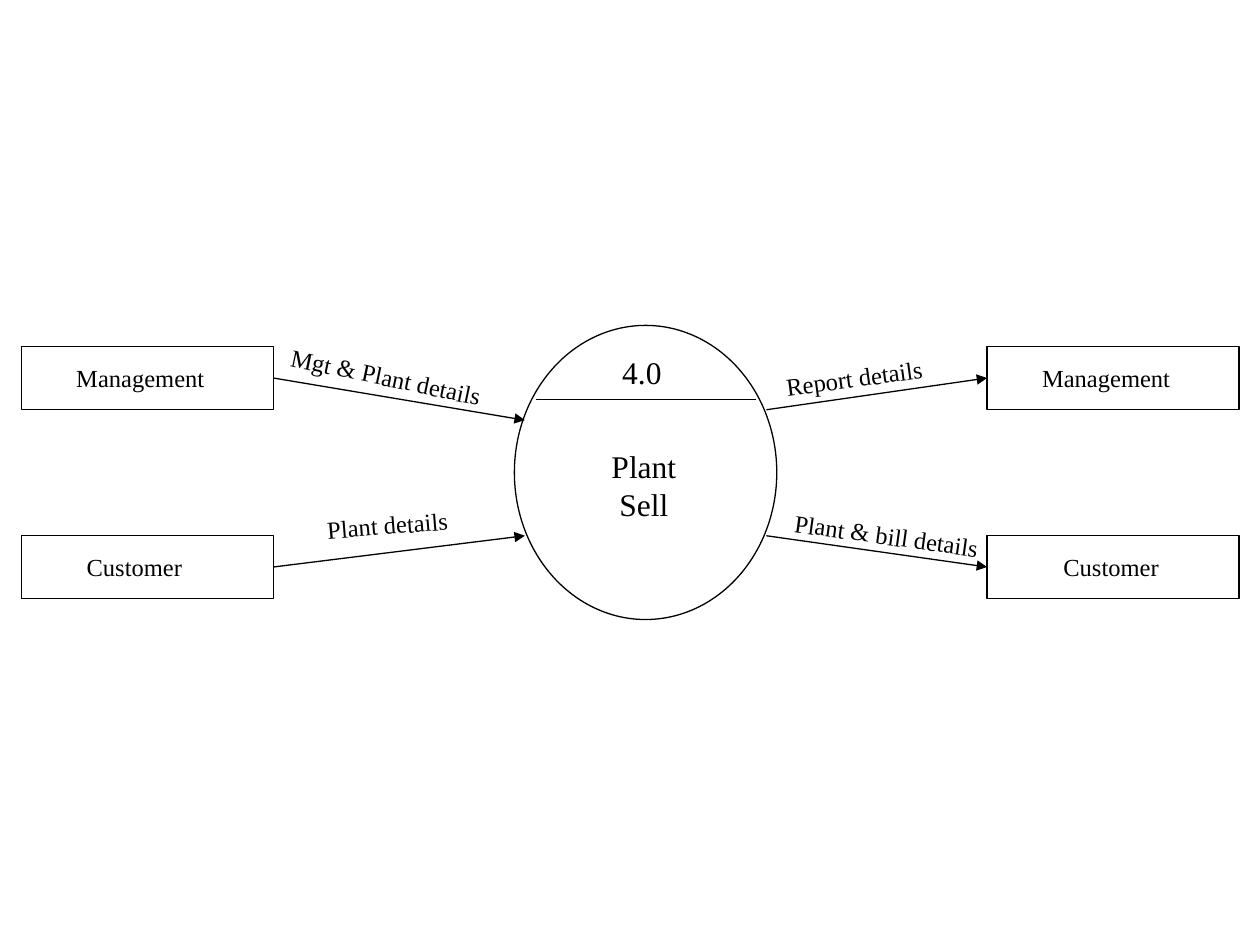
from lxml.etree import SubElement as Sub
from pptx import Presentation
from pptx.dml.color import RGBColor as Rgb
from pptx.enum.shapes import MSO_CONNECTOR as Link, MSO_SHAPE as Kind
from pptx.enum.text import MSO_AUTO_SIZE as Fit, PP_ALIGN as Align
from pptx.oxml.ns import qn
from pptx.util import Cm, Pt

HEX = {"ink": "000000"}
FONT = "Times New Roman"
LEFT, RIGHT = 0.43, 19.9
WIDE, HIGH = 5.08, 1.27
ROWS = {"Management": (6.99, 2.83, 22.3), "Customer": (10.8, 2.71, 22.4)}
FLOWS = [
    (5.51, 7.62, 10.58, 8.47),
    (5.51, 11.43, 10.58, 10.8),
    (15.45, 8.26, RIGHT, 7.62),
    (15.45, 10.8, RIGHT, 11.43),
]
LABELS = [
    ("Mgt & Plant details", 7.78, 7.6, 4.8, 12),
    ("Report details", 17.22, 7.62, 3.4, -7.8),
    ("Plant details", 7.81, 10.59, 3.2, -4.6),
    ("Plant & bill details", 17.87, 10.8, 4.4, 8),
]


def ink(line):
    line.color.rgb = Rgb.from_string(HEX["ink"])
    line.width = Pt(0.75)


def add_form(slide, kind, x, y, w, h):
    form = slide.shapes.add_shape(kind, Cm(x), Cm(y), Cm(w), Cm(h))
    form.shadow.inherit = False
    form.fill.background()
    ink(form.line)


def add_line(slide, x1, y1, x2, y2, head=False):
    line = slide.shapes.add_connector(
        Link.STRAIGHT, Cm(x1), Cm(y1), Cm(x2), Cm(y2))
    ink(line.line)
    props = line._element.spPr
    if head:
        Sub(props.find(qn("a:ln")), qn("a:tailEnd"), type="triangle")
    Sub(props, qn("a:effectLst"))


def add_text(slide, text, x, y, w, h=0.86, size=14, turn=0):
    box = slide.shapes.add_textbox(
        Cm(x - w / 2), Cm(y - h / 2), Cm(w), Cm(h))
    box.rotation = turn
    frame = box.text_frame
    frame.word_wrap = False
    frame.auto_size = Fit.SHAPE_TO_FIT_TEXT
    frame.text = text
    for para in frame.paragraphs:
        para.alignment = Align.CENTER
        para.font.name = FONT
        para.font.size = Pt(size)
        para.font.color.rgb = Rgb.from_string(HEX["ink"])


def add_party(slide, name, top, mid1, mid2):
    for left, mid in ((LEFT, mid1), (RIGHT, mid2)):
        add_form(slide, Kind.RECTANGLE, left, top, WIDE, HIGH)
        add_text(slide, name, mid, top + HIGH / 2, 3.1)


def add_process(slide):
    add_form(slide, Kind.OVAL, 10.37, 6.56, 5.29, 5.93)
    add_line(slide, 10.8, 8.05, 15.24, 8.05)
    add_text(slide, "4.0", 12.94, 7.5, 1.3, 1.02, size=18)
    add_text(slide, "Plant\nSell", 12.98, 9.78, 2.77, 1.78, size=18)


def main():
    deck = Presentation()
    deck.slide_width, deck.slide_height = Cm(25.4), Cm(19.05)
    slide = deck.slides.add_slide(deck.slide_layouts[6])
    for name, spots in ROWS.items():
        add_party(slide, name, *spots)
    add_process(slide)
    for flow in FLOWS:
        add_line(slide, *flow, head=True)
    for text, x, y, w, turn in LABELS:
        add_text(slide, text, x, y, w, turn=turn)
    deck.save("out.pptx")


if __name__ == "__main__":
    main()
